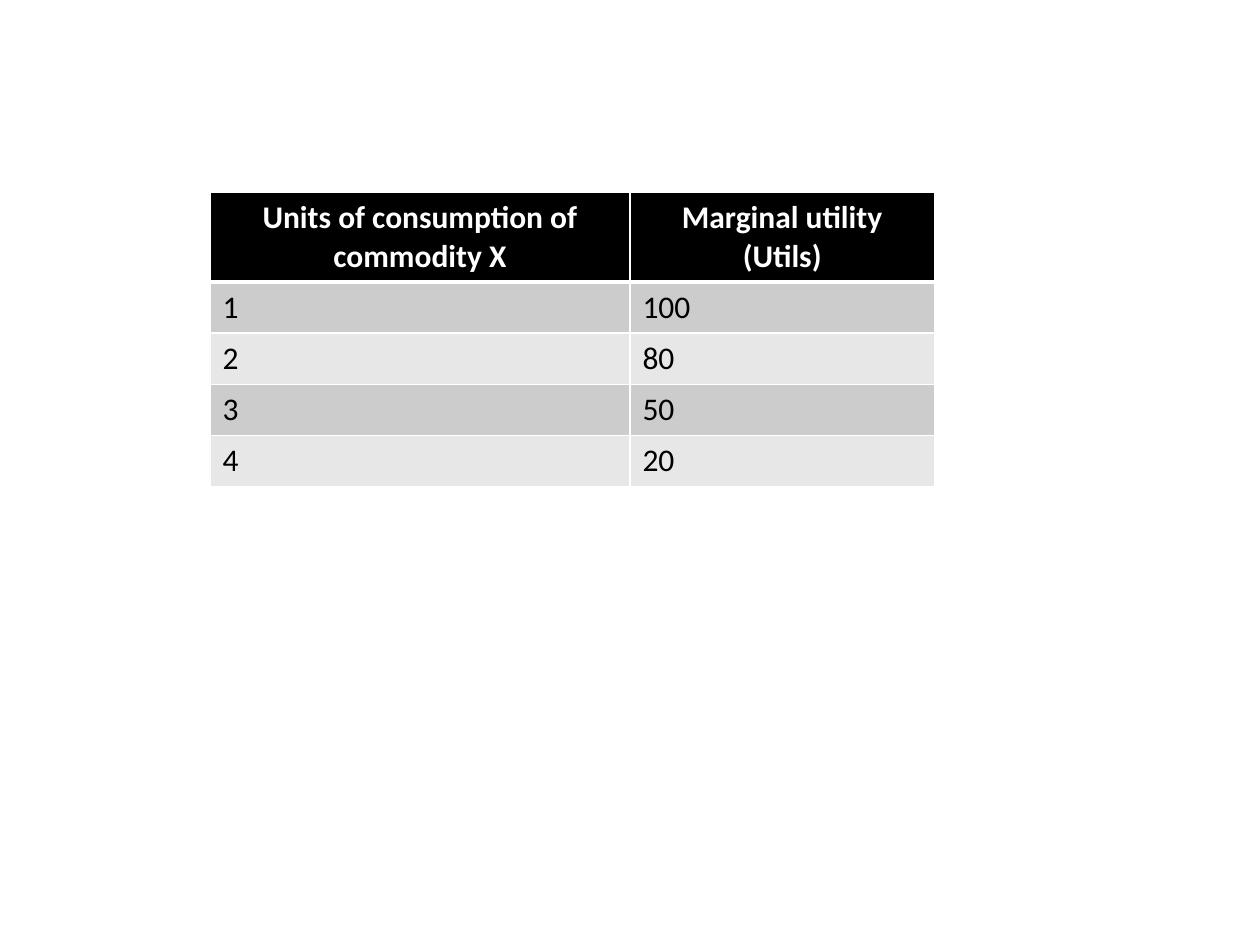
"""Build a slide with a table of marginal utility by units consumed."""
from lxml import etree
from pptx import Presentation
from pptx.dml.color import RGBColor
from pptx.enum import text
from pptx.oxml import ns
from pptx.util import Pt

WHITE = RGBColor(0xFF, 0xFF, 0xFF)
BLACK = RGBColor(0, 0, 0)
BANDS = RGBColor(0xCC, 0xCC, 0xCC), RGBColor(0xE7, 0xE7, 0xE7)

ROWS = [
    ("Units of consumption of commodity X", "Marginal utility (Utils)"),
    ("1", "100"),
    ("2", "80"),
    ("3", "50"),
    ("4", "20"),
]
COL_WIDTHS = 240, 174
HEADER_HEIGHT, ROW_HEIGHT = 50.4, 29.2


def set_borders(cell, widths):
    """Draw solid white borders; widths maps a side letter to points."""
    tcPr = cell._tc.get_or_add_tcPr()
    for side, width in widths.items():
        ln = etree.SubElement(tcPr, ns.qn(f"a:ln{side}"), w=str(Pt(width)))
        fill = etree.SubElement(ln, ns.qn("a:solidFill"))
        etree.SubElement(fill, ns.qn("a:srgbClr"), val=str(WHITE))


def set_text(cell, content, align, color, **fmt):
    """Write one formatted paragraph into a cell."""
    p = cell.text_frame.paragraphs[0]
    p.alignment = align
    r = p.add_run()
    r.text = content
    for name, value in fmt.items():
        setattr(r.font, name, value)
    r.font.color.rgb = color


def add_utility_table(s, left, top):
    """Add the table with a black header and banded rows."""
    heights = [HEADER_HEIGHT] + [ROW_HEIGHT] * (len(ROWS) - 1)
    table = s.shapes.add_table(len(ROWS), len(COL_WIDTHS), Pt(left), Pt(top),
                               Pt(sum(COL_WIDTHS)), Pt(sum(heights))).table
    for col, width in zip(table.columns, COL_WIDTHS):
        col.width = Pt(width)
    for i, (row, height, values) in enumerate(zip(table.rows, heights, ROWS)):
        row.height = Pt(height)
        header = i == 0
        align = text.PP_ALIGN.CENTER if header else text.PP_ALIGN.LEFT
        for cell, value in zip(row.cells, values):
            set_borders(cell, {"L": 1, "R": 1, "T": 3 if i == 1 else 1,
                               "B": 3 if header else 1})
            cell.fill.solid()
            cell.fill.fore_color.rgb = BLACK if header else BANDS[(i - 1) % 2]
            set_text(cell, value, align, WHITE if header else BLACK,
                     name="Calibri", size=Pt(18), bold=header)


def main():
    """Create and save the presentation."""
    prs = Presentation()
    prs.slide_width, prs.slide_height = Pt(720), Pt(540)
    s = prs.slides.add_slide(prs.slide_layouts[6])
    add_utility_table(s, 120, 110)
    prs.save("out.pptx")


if __name__ == "__main__":
    main()
